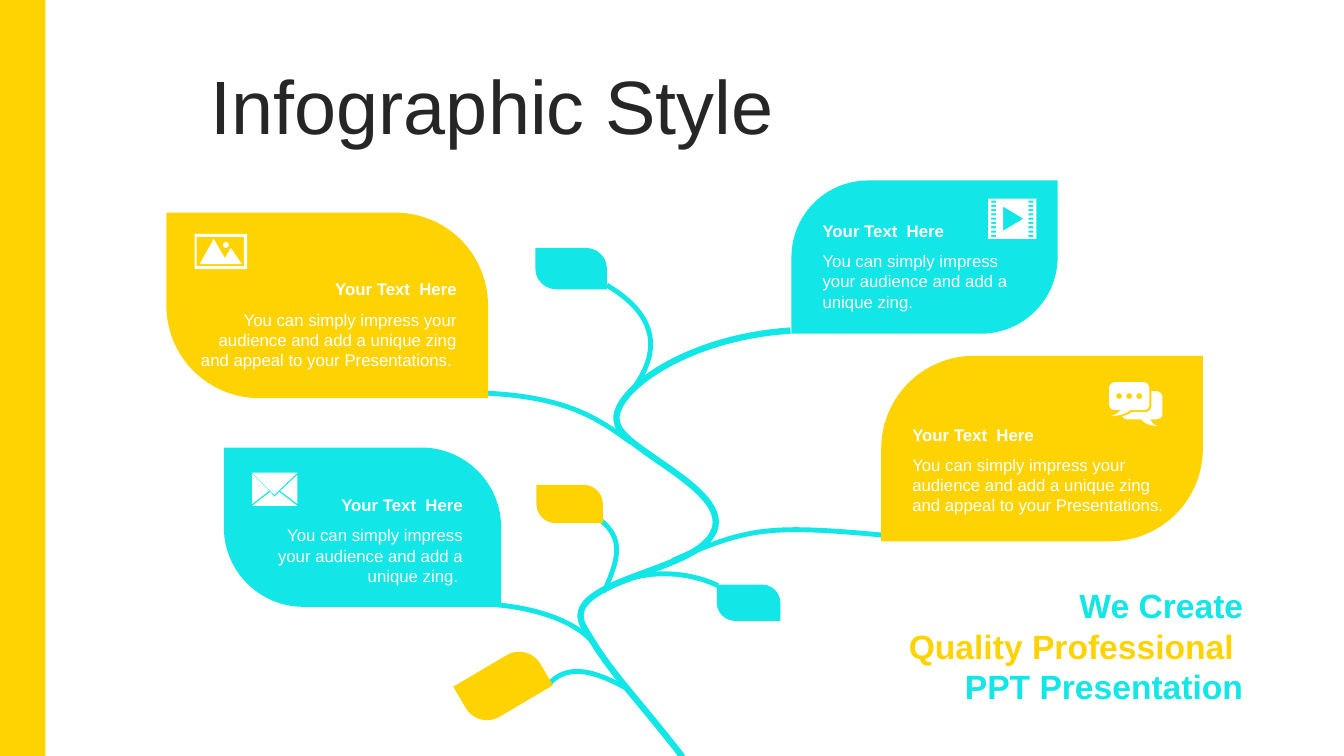
from math import cos, radians, sin

from lxml import etree
from pptx import Presentation
from pptx.dml.color import RGBColor
from pptx.enum.shapes import MSO_SHAPE
from pptx.enum.text import MSO_ANCHOR, MSO_AUTO_SIZE, PP_ALIGN
from pptx.oxml.ns import qn
from pptx.util import Inches, Pt

RECTANGLE = MSO_SHAPE.RECTANGLE
LEAF = MSO_SHAPE.ROUND_2_DIAG_RECTANGLE
MIDDLE = MSO_ANCHOR.MIDDLE
FIXED, GROW = MSO_AUTO_SIZE.NONE, MSO_AUTO_SIZE.SHAPE_TO_FIT_TEXT
LEFT, RIGHT = PP_ALIGN.LEFT, PP_ALIGN.RIGHT

YELLOW = RGBColor(0xFF, 0xD3, 0x02)
CYAN = RGBColor(0x12, 0xE6, 0xE6)
WHITE = RGBColor(0xFF, 0xFF, 0xFF)
DARK = RGBColor(0x26, 0x26, 0x26)
FONT = "Arial"

TITLE = "Infographic Style"
HEADING = "Your Text  Here"
SHORT = "You can simply impress your audience and add a unique zing."
LONG = ("You can simply impress your audience and add a unique zing "
        "and appeal to your Presentations.")
SLOGAN = [("We Create", CYAN), ("Quality Professional ", YELLOW), ("PPT Presentation", CYAN)]

ROUND_LEFT, ROUND_RIGHT = (0.5, 0), (0, 0.5)
CARDS = [
    ((7.85, 1.79, 2.64, 1.52), ROUND_LEFT, CYAN, (8.06, 2.14, 2.22), LEFT, SHORT),
    ((1.65, 2.11, 3.19, 1.84), ROUND_RIGHT, YELLOW, (1.87, 2.72, 2.76), RIGHT, LONG + " "),
    ((2.22, 4.44, 2.75, 1.58), ROUND_RIGHT, CYAN, (2.47, 4.86, 2.22), RIGHT, SHORT + " "),
    ((8.74, 3.53, 3.19, 1.84), ROUND_LEFT, YELLOW, (8.95, 4.16, 2.76), LEFT, LONG),
]
LEAVES = [
    ((5.31, 2.46, 0.71, 0.41), CYAN, 0),
    ((4.56, 6.56, 0.86, 0.49), YELLOW, 329.4),
    ((5.32, 4.81, 0.66, 0.38), YELLOW, 0),
    ((7.11, 5.8, 0.63, 0.36), CYAN, 0),
]

STEM = [(6.77, 7.51), (6.25, 6.84, 6.05, 6.68, 5.78, 6.2), (5.6, 5.82, 6.56, 5.7, 6.93, 5.44),
        (7.58, 4.97, 6.15, 4.49, 6.12, 4.19), (6.04, 3.92, 6.76, 3.35, 7.84, 3.28)]
BRANCHES = [
    ([(5.87, 6.36), (5.67, 6.14, 5.27, 6.03, 4.92, 6)], 0, (0, 0)),
    ([(6.26, 4.39), (5.94, 4.16, 5.64, 3.94, 4.82, 3.9)], 0, (0, 0)),
    ([(5.96, 5.16), (6.18, 5.34, 6.15, 5.53, 5.99, 5.87)], 337.3, (6, 5.5)),
    ([(6.67, 5.56), (7.42, 5.24, 7.59, 5.2, 8.77, 5.31)], 0, (0, 0)),
    ([(6.27, 3.87), (6.55, 3.5, 6.54, 3.14, 6.02, 2.83)], 0, (0, 0)),
    ([(6.14, 5.78), (6.52, 5.62, 6.92, 5.71, 7.12, 5.81)], 0, (0, 0)),
    ([(6.21, 6.82), (5.93, 6.67, 5.63, 6.55, 5.43, 6.8)], 289.9, (5.82, 6.8)),
]


def box(left, top, right, bottom):
    return [(left, top), (right, top), (right, bottom), (left, bottom)]


def dot(x, y, r=0.03):
    k = 0.55 * r
    return [(x, y - r), (x + k, y - r, x + r, y - k, x + r, y),
            (x + r, y + k, x + k, y + r, x, y + r), (x - k, y + r, x - r, y + k, x - r, y),
            (x - r, y - k, x - k, y - r, x, y - r)]


ENVELOPE = [
    [(2.77, 4.88), (2.95, 5.02), (2.5, 5.02), (2.68, 4.88), (2.72, 4.93)],
    [(2.95, 4.71), (2.95, 5), (2.78, 4.87)],
    [(2.5, 4.7), (2.67, 4.87), (2.5, 5)],
    [(2.5, 4.69), (2.95, 4.69), (2.72, 4.91)],
]
PHOTO = [
    dot(2.24, 2.43),
    [(2.12, 2.37), (2.23, 2.56), (2.29, 2.46), (2.4, 2.62), (2.26, 2.62), (2.19, 2.62),
     (1.98, 2.62)],
    box(1.95, 2.35, 2.42, 2.64),
    box(1.93, 2.32, 2.45, 2.67),
]
FILM = [box(x, 1.99 + 0.34 * row / 8, x + 0.05, 2.01 + 0.34 * row / 8)
        for row in range(9) for x in (9.83, 10.2)]
FILM += [[(9.95, 2.05), (9.95, 2.29), (10.15, 2.17)], box(9.8, 1.97, 10.28, 2.37)]
CHAT = [dot(x, 3.93) for x in (11.3, 11.2, 11.1)] + [
    [(11.42, 3.88), (11.47, 3.88), (11.5, 3.88, 11.53, 3.91, 11.53, 3.94), (11.53, 4.11),
     (11.53, 4.14, 11.5, 4.16, 11.47, 4.16), (11.41, 4.16),
     (11.42, 4.18, 11.42, 4.2, 11.48, 4.23), (11.38, 4.21, 11.36, 4.21, 11.32, 4.16),
     (11.18, 4.16), (11.16, 4.16, 11.14, 4.15, 11.13, 4.13),
     (11.17, 4.12, 11.19, 4.11, 11.23, 4.09), (11.36, 4.09),
     (11.39, 4.09, 11.42, 4.06, 11.42, 4.03), (11.42, 3.88)],
    [(11.06, 3.79), (11.35, 3.79), (11.38, 3.79, 11.4, 3.82, 11.4, 3.85), (11.4, 4.02),
     (11.4, 4.05, 11.38, 4.07, 11.35, 4.07), (11.21, 4.07),
     (11.15, 4.11, 11.13, 4.12, 11.02, 4.13), (11.08, 4.1, 11.09, 4.1, 11.12, 4.07),
     (11.06, 4.07), (11.03, 4.07, 11, 4.05, 11, 4.02), (11, 3.85),
     (11, 3.82, 11.03, 3.79, 11.06, 3.79)],
]


def pairs(part):
    return list(zip(part[::2], part[1::2]))


def turn_back(outline, degrees, pivot):
    c, s = cos(radians(-degrees)), sin(radians(-degrees))
    px, py = pivot
    return [tuple(value for x, y in pairs(part)
                  for value in (px + (x - px) * c - (y - py) * s,
                                py + (x - px) * s + (y - py) * c)) for part in outline]


def flatten(outline, steps=24):
    points = [outline[0]]
    for part in outline[1:]:
        controls = [points[-1]] + pairs(part)
        if len(part) == 2:
            points.append(part)
            continue
        for t in (i / steps for i in range(1, steps + 1)):
            weights = ((1 - t) ** 3, 3 * t * (1 - t) ** 2, 3 * t * t * (1 - t), t ** 3)
            points.append(tuple(sum(w * p[axis] for w, p in zip(weights, controls))
                                for axis in (0, 1)))
    return [(Inches(x), Inches(y)) for x, y in points]


def add_outlines(slide, outlines, closed):
    extent = [point for outline in outlines for point in flatten(outline)]
    builder = slide.shapes.build_freeform(*extent[0])
    builder.add_line_segments(extent[1:], close=False)
    drawn = builder.convert_to_shape()
    drawn.shadow.inherit = False
    path = drawn.element.find(".//" + qn("a:path"))
    for segment in list(path):
        path.remove(segment)
    for outline in outlines:
        for i, part in enumerate(outline):
            tag = "a:moveTo" if i == 0 else "a:lnTo" if len(part) == 2 else "a:cubicBezTo"
            segment = etree.SubElement(path, qn(tag))
            for x, y in pairs(part):
                etree.SubElement(segment, qn("a:pt"), x=str(Inches(x) - drawn.left),
                                 y=str(Inches(y) - drawn.top))
        if closed:
            etree.SubElement(path, qn("a:close"))
    return drawn


def add_vine(slide, outline, width, rotation=0, pivot=(0, 0)):
    vine = add_outlines(slide, [turn_back(outline, rotation, pivot)], False)
    vine.rotation = rotation
    vine.fill.background()
    vine.line.color.rgb = CYAN
    vine.line.width = Pt(width)


def fill_plain(shape, color):
    shape.fill.solid()
    shape.fill.fore_color.rgb = color
    shape.line.fill.background()


def add_filled(slide, preset, place, color, corners=(), rotation=0):
    filled = slide.shapes.add_shape(preset, *map(Inches, place))
    for i, corner in enumerate(corners):
        filled.adjustments[i] = corner
    filled.rotation = rotation
    filled.shadow.inherit = False
    fill_plain(filled, color)


def write(paragraph, text, size, color, align, bold=False):
    paragraph.alignment = align
    run = paragraph.add_run()
    run.text = text
    run.font.name, run.font.size, run.font.bold = FONT, Pt(size), bold
    run.font.color.rgb = color


def add_text_frame(holder, place):
    frame = holder.shapes.add_textbox(*map(Inches, place)).text_frame
    frame.word_wrap = True
    frame.auto_size = GROW
    return frame


def main():
    deck = Presentation()
    deck.slide_width, deck.slide_height = Inches(13.33), Inches(7.5)
    slide = deck.slides.add_slide(deck.slide_layouts[5])

    add_filled(slide, RECTANGLE, (0, 0, 0.45, 7.5), YELLOW)
    title = slide.shapes.title
    title.left, title.top, title.width, title.height = map(Inches, (1.99, 0.7, 10.93, 0.79))
    title.text_frame.vertical_anchor = MIDDLE
    title.text_frame.auto_size = FIXED
    title.text_frame.paragraphs[0].line_spacing = 0.9
    write(title.text_frame.paragraphs[0], TITLE, 54, DARK, LEFT)

    add_vine(slide, STEM, 4.5)
    for branch, rotation, pivot in BRANCHES:
        add_vine(slide, branch, 3.5, rotation, pivot)
    for place, color, rotation in LEAVES:
        add_filled(slide, LEAF, place, color, ROUND_RIGHT, rotation)
    for place, corners, color, (left, top, width), align, body in CARDS:
        add_filled(slide, LEAF, place, color, corners)
        caption = slide.shapes.add_group_shape()
        head_frame = add_text_frame(caption, (left, top, width, 0.3))
        write(head_frame.paragraphs[0], HEADING, 12, WHITE, align, True)
        body_frame = add_text_frame(caption, (left, top + 0.3, width, 0.71))
        write(body_frame.paragraphs[0], body, 12, WHITE, align)
    for icon in (ENVELOPE, PHOTO, FILM, CHAT):
        fill_plain(add_outlines(slide, icon, True), WHITE)

    slogan = add_text_frame(slide, (8.47, 5.8, 3.9, 1.21))
    slogan.vertical_anchor = MIDDLE
    slogan.margin_left = slogan.margin_right = Inches(0.04)
    slogan.margin_top = slogan.margin_bottom = 0
    for i, (text, color) in enumerate(SLOGAN):
        line = slogan.add_paragraph() if i else slogan.paragraphs[0]
        write(line, text, 24, color, RIGHT, True)

    deck.save("out.pptx")


if __name__ == "__main__":
    main()
